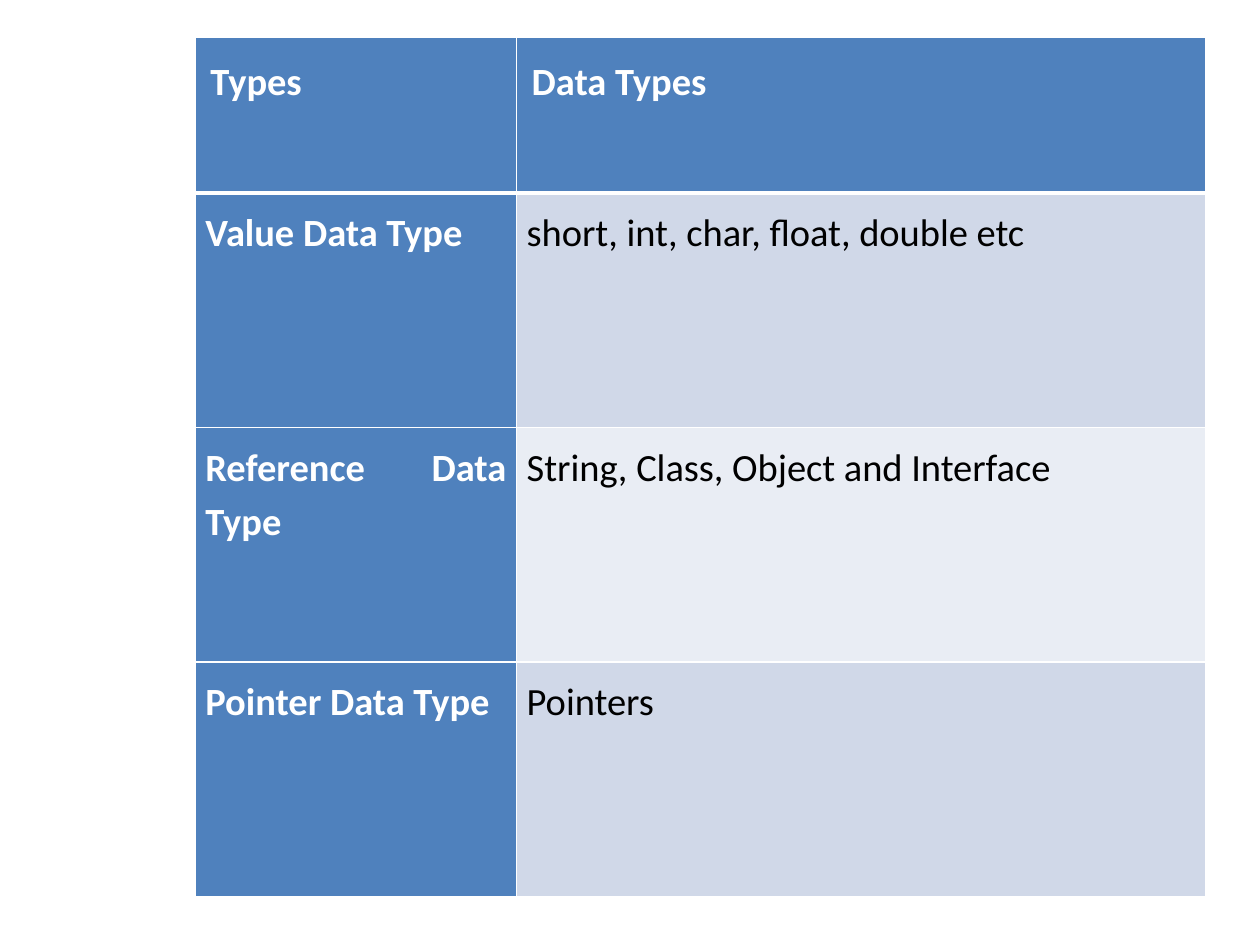
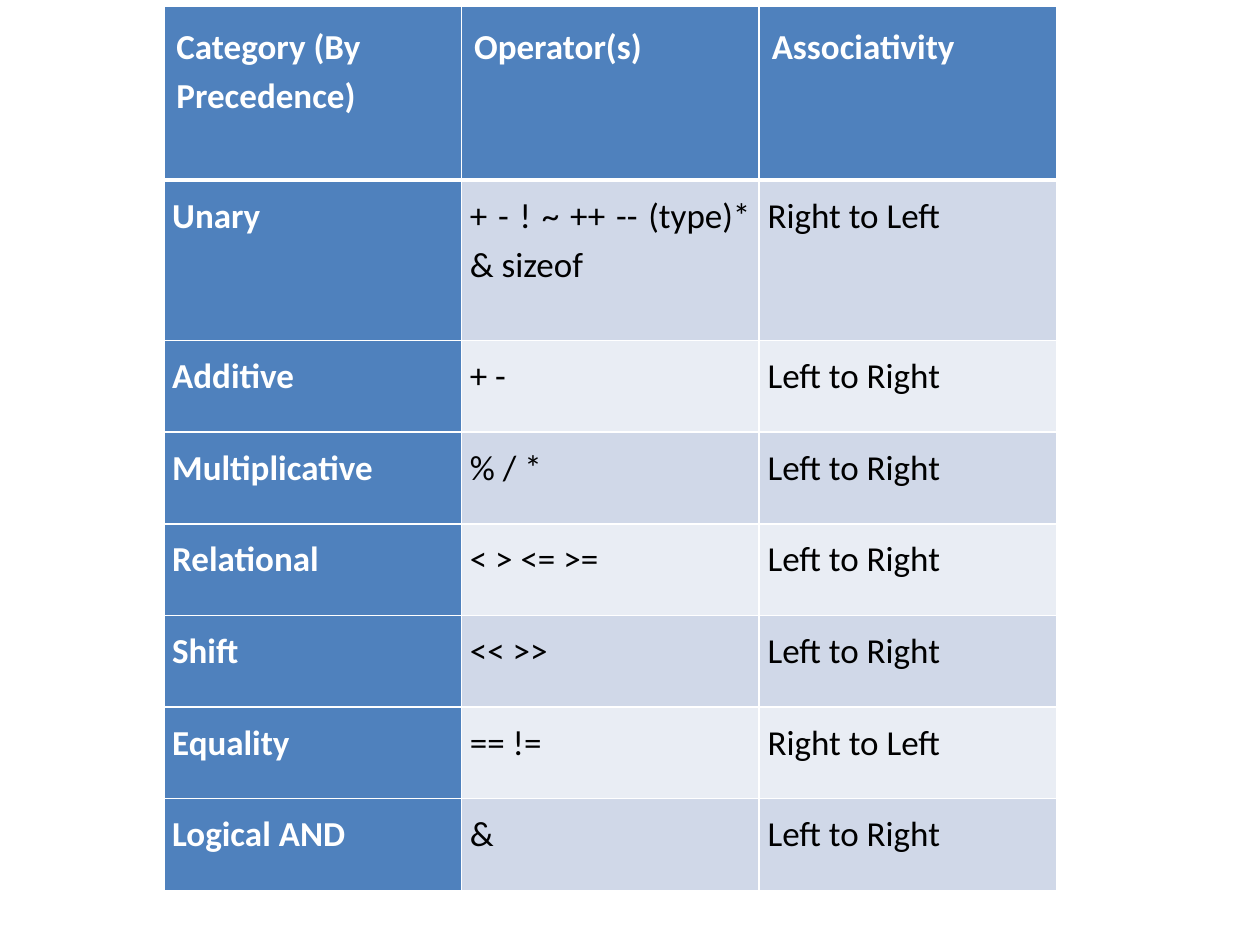
from lxml import etree
from pptx import Presentation
from pptx.dml.color import RGBColor
from pptx.enum.text import PP_ALIGN
from pptx.oxml.ns import qn
from pptx.util import Pt

LEFT, JUSTIFY = PP_ALIGN.LEFT, PP_ALIGN.JUSTIFY
BLANK_LAYOUT = 6

# Shared look
FONT = "Calibri"
WHITE, BLACK, BLUE = "FFFFFF", "000000", "4F81BD"
BANDS = ("D0D8E8", "E9EDF4")
THIN, THICK = 1, 3
PARAGRAPH_FORMAT = {"line_spacing": 1.15, "space_after": Pt(10), "space_before": Pt(0)}
MARGINS = ("margin_left", "margin_top", "margin_right", "margin_bottom")

DATA_TYPES = [
    ("Types", "Data Types"),
    ("Value Data Type", "short, int, char, float, double etc"),
    ("Reference Data Type", "String, Class, Object and Interface"),
    ("Pointer Data Type", "Pointers"),
]
OPERATORS = [
    ("Category (By Precedence)", "Operator(s)", "Associativity"),
    ("Unary", "+ - ! ~ ++ -- (type)* & sizeof", "Right to Left"),
    ("Additive", "+ -", "Left to Right"),
    ("Multiplicative", "% / *", "Left to Right"),
    ("Relational", "< > <= >=", "Left to Right"),
    ("Shift", "<< >>", "Left to Right"),
    ("Equality", "== !=", "Right to Left"),
    ("Logical AND", "&", "Left to Right"),
]


def color(hex_value):
    return RGBColor.from_string(hex_value)


def apply(target, values):
    for name, value in values.items():
        setattr(target, name, value)


def add_borders(cell, row):
    """Draw white edges, thicker under the header row."""
    widths = {
        "a:lnL": THIN,
        "a:lnR": THIN,
        "a:lnT": THICK if row == 1 else THIN,
        "a:lnB": THICK if row == 0 else THIN,
    }
    properties = cell._tc.get_or_add_tcPr()
    for position, (edge, width) in enumerate(widths.items()):
        line = etree.Element(qn(edge), w=str(Pt(width)))
        fill = etree.SubElement(line, qn("a:solidFill"))
        etree.SubElement(fill, qn("a:srgbClr"), val=WHITE)
        properties.insert(position, line)


def fill_cell(cell, text, row, column, size, inset):
    is_label = row == 0 or column == 0
    apply(cell, dict.fromkeys(MARGINS, Pt(inset)))
    cell.fill.solid()
    cell.fill.fore_color.rgb = color(BLUE if is_label else BANDS[(row - 1) % 2])
    add_borders(cell, row)

    paragraph = cell.text_frame.paragraphs[0]
    apply(paragraph, PARAGRAPH_FORMAT)
    paragraph.alignment = LEFT if row == 0 else JUSTIFY
    run = paragraph.add_run()
    run.text = text
    apply(run.font, {"name": FONT, "size": Pt(size), "bold": is_label})
    run.font.color.rgb = color(WHITE if is_label else BLACK)


def add_banded_table(slide, box, content, widths, heights, size, header_inset, body_inset):
    """Fill the box with a table; widths and heights are shares of it."""
    left, top, width, height = box
    table = slide.shapes.add_table(
        len(content), len(widths), Pt(left), Pt(top), Pt(width), Pt(height)
    ).table
    for column, share in zip(table.columns, widths):
        column.width = Pt(width * share / sum(widths))
    for row, share in zip(table.rows, heights):
        row.height = Pt(height * share / sum(heights))
    for row, texts in enumerate(content):
        inset = body_inset if row else header_inset
        for column, text in enumerate(texts):
            fill_cell(table.cell(row, column), text, row, column, size, inset)


def main():
    presentation = Presentation()
    apply(presentation, {"slide_width": Pt(720), "slide_height": Pt(540)})
    blank = presentation.slide_layouts[BLANK_LAYOUT]

    # Data types
    add_banded_table(
        presentation.slides.add_slide(blank), (111.6, 21, 577.4, 491.4), DATA_TYPES,
        widths=(2.55, 5.47), heights=(1.24, 1.86, 1.86, 1.86),
        size=22, header_inset=8.7, body_inset=5.8,
    )

    # Operator precedence
    add_banded_table(
        presentation.slides.add_slide(blank), (93.6, 3.8, 510.4, 505), OPERATORS,
        widths=(1, 1, 1), heights=(1.38, 1.28) + (0.73,) * 6,
        size=20, header_inset=7.2, body_inset=4.8,
    )

    presentation.save("out.pptx")


if __name__ == "__main__":
    main()
